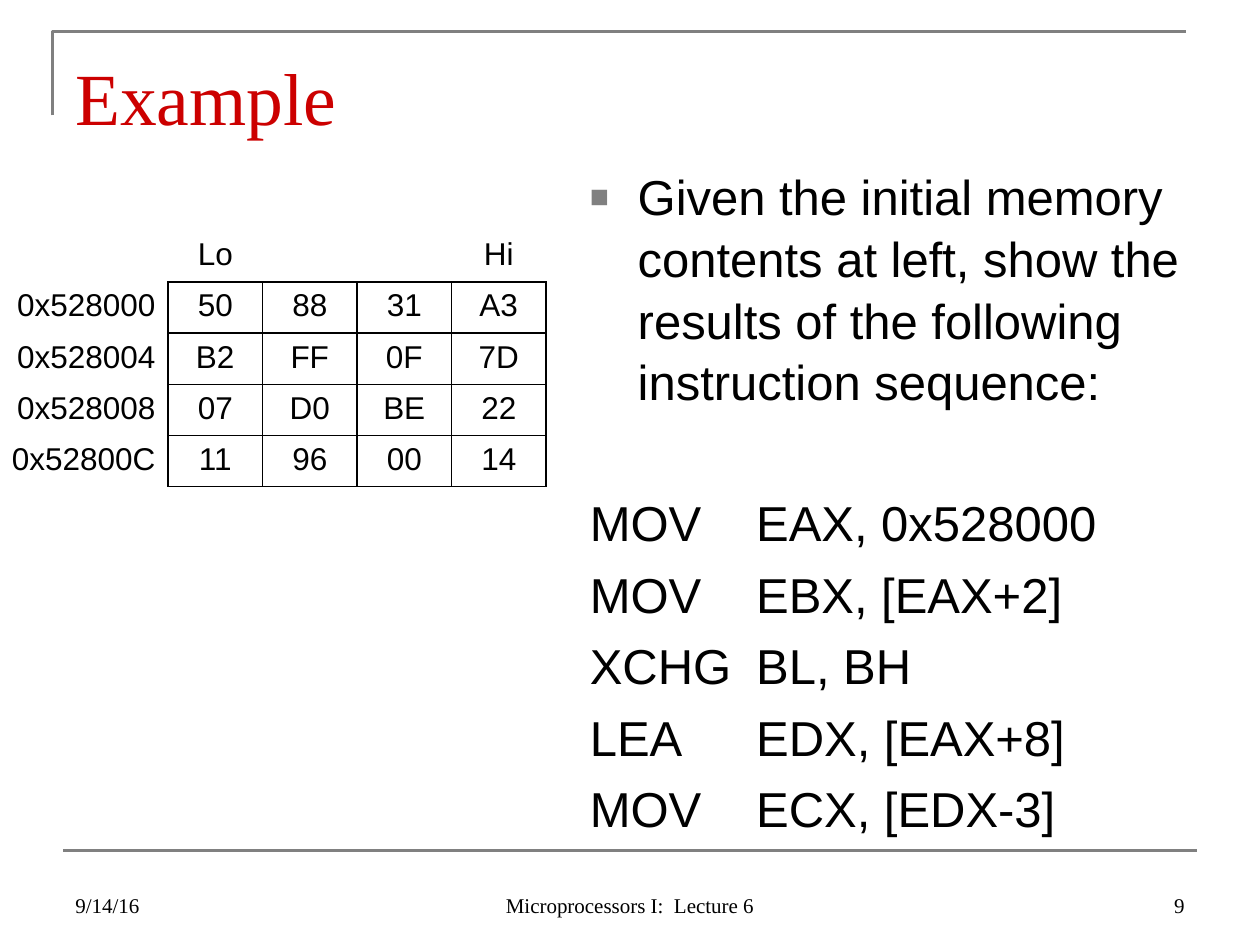
from dataclasses import dataclass

from lxml.etree import SubElement
from pptx import Presentation
from pptx.dml.color import RGBColor
from pptx.enum.shapes import MSO_CONNECTOR
from pptx.enum.text import MSO_ANCHOR, PP_ALIGN
from pptx.oxml import parse_xml
from pptx.oxml.ns import nsdecls, qn
from pptx.util import Inches, Pt

HUE = {"ink": "000000", "rule": "808080", "head": "CC0000"}
SANS, SERIF = "Arial", "Times New Roman"
LEFT, MID, RIGHT = PP_ALIGN.LEFT, PP_ALIGN.CENTER, PP_ALIGN.RIGHT
PLAIN = "{2D5ABB26-0587-4C30-8999-92F81FD0307C}"


@dataclass
class Box:
    col: float
    row: float
    wide: float
    high: float


@dataclass
class Face:
    size: float
    name: str = SANS
    hue: str = "ink"


@dataclass
class Foot:
    text: str
    box: Box
    side: PP_ALIGN


@dataclass
class Step:
    code: str
    args: str


TEXT, CELL, NOTE = Face(28), Face(18), Face(12, SERIF)
HEAD = Face(42, SERIF, "head")
GOAL = ("Given the initial memory contents at left, show the results "
        "of the following instruction sequence:")
STEPS = [
    Step("MOV", "EAX, 0x528000"),
    Step("MOV", "EBX, [EAX+2]"),
    Step("XCHG", "BL, BH"),
    Step("LEA", "EDX, [EAX+8]"),
    Step("MOV", "ECX, [EDX-3]"),
]
BASE = 0x528000
BYTES = ["50 88 31 A3", "B2 FF 0F 7D", "07 D0 BE 22", "11 96 00 14"]
FEET = [
    Foot("9/14/16", Box(6, 82, 28, 6), LEFT),
    Foot("Microprocessors I:  Lecture 6", Box(41, 82, 38, 6), MID),
    Foot("9", Box(86, 82, 28, 6), RIGHT),
]


def unit(num: float) -> int:
    return Inches(num / 12)


def tint(key: str) -> RGBColor:
    return RGBColor.from_string(HUE[key])


def add_run(para, text: str, face: Face) -> None:
    run = para.add_run()
    run.text = text
    run.font.size = Pt(face.size)
    run.font.name = face.name
    run.font.color.rgb = tint(face.hue)


def add_box(slide, box: Box, anchor=MSO_ANCHOR.TOP):
    frame = slide.shapes.add_textbox(
        unit(box.col), unit(box.row), unit(box.wide), unit(box.high)).text_frame
    frame.word_wrap = True
    frame.vertical_anchor = anchor
    return frame


def draw_rules(slide) -> None:
    pen = slide.shapes.build_freeform(unit(5), unit(11), scale=1.0)
    pen.add_line_segments([(unit(5), unit(3)), (unit(113), unit(3))], close=False)
    edge = pen.convert_to_shape()
    edge.shadow.inherit = False
    edge.fill.background()
    base = slide.shapes.add_connector(
        MSO_CONNECTOR.STRAIGHT, unit(6), unit(81), unit(114), unit(81))
    SubElement(base._element.spPr, qn("a:effectLst"))
    for item in (edge, base):
        item.line.color.rgb = tint("rule")
        item.line.width = Pt(1.5)


def edge_cell(cell, sides: str) -> None:
    cell.fill.background()
    props = cell._tc.get_or_add_tcPr()
    for spot, side in enumerate(sides):
        props.insert(spot, parse_xml(
            f'<a:ln{side} {nsdecls("a")} w="12700"><a:solidFill>'
            f'<a:srgbClr val="{HUE["ink"]}"/></a:solidFill></a:ln{side}>'))


def draw_table(slide) -> None:
    rows = [["", "Lo", "", "", "Hi"]]
    rows += [[f"0x{BASE + 4 * num:X}", *line.split()]
             for num, line in enumerate(BYTES)]
    high = 4.87
    frame = slide.shapes.add_table(
        len(rows), 5, unit(-5), unit(22), unit(57), unit(high * len(rows)))
    table = frame.table
    table.first_row = table.horz_banding = False
    table._tbl.tblPr.find(qn("a:tableStyleId")).text = PLAIN
    for num, col in enumerate(table.columns):
        col.width = unit(9 if num else 21)
    for y, line in enumerate(rows):
        table.rows[y].height = unit(high)
        for x, text in enumerate(line):
            cell = table.cell(y, x)
            para = cell.text_frame.paragraphs[0]
            para.alignment = MID if x else RIGHT
            if text:
                add_run(para, text, CELL)
            if y and x:
                edge_cell(cell, "LRTB")
            else:
                edge_cell(cell, "R" if y else "B" if x else "")


def add_mark(para) -> None:
    props = para._p.get_or_add_pPr()
    props.set("marL", str(Inches(0.38)))
    props.set("indent", str(Inches(-0.38)))
    color = SubElement(props, qn("a:buClr"))
    SubElement(color, qn("a:srgbClr")).set("val", HUE["rule"])
    SubElement(props, qn("a:buSzPct")).set("val", "65000")
    SubElement(props, qn("a:buFont")).set("typeface", SANS)
    SubElement(props, qn("a:buChar")).set("char", "■")


def add_tab(para, place: float) -> None:
    tabs = SubElement(para._p.get_or_add_pPr(), qn("a:tabLst"))
    stop = SubElement(tabs, qn("a:tab"))
    stop.set("pos", str(Inches(place)))
    stop.set("algn", "l")


def draw_body(slide) -> None:
    frame = add_box(slide, Box(55, 15, 59, 65.4))
    goal = frame.paragraphs[0]
    add_mark(goal)
    goal.line_spacing = 1.05
    add_run(goal, GOAL, TEXT)
    for num, step in enumerate(STEPS):
        para = frame.add_paragraph()
        add_tab(para, 1.32)
        para.line_spacing = 1.05
        para.space_before = Pt(5.6 if num else 45)
        add_run(para, f"{step.code}\t{step.args}", TEXT)


def draw_foot(slide, foot: Foot) -> None:
    para = add_box(slide, foot.box, MSO_ANCHOR.BOTTOM).paragraphs[0]
    para.alignment = foot.side
    add_run(para, foot.text, NOTE)


def main() -> None:
    deck = Presentation()
    deck.slide_width, deck.slide_height = unit(120), unit(90)
    slide = deck.slides.add_slide(deck.slide_layouts[6])
    draw_rules(slide)
    title = add_box(slide, Box(6, 3.6, 108, 9.36))
    title.margin_top = Inches(0.11)
    add_run(title.paragraphs[0], "Example", HEAD)
    draw_table(slide)
    draw_body(slide)
    for foot in FEET:
        draw_foot(slide, foot)
    deck.save("out.pptx")


if __name__ == "__main__":
    main()
